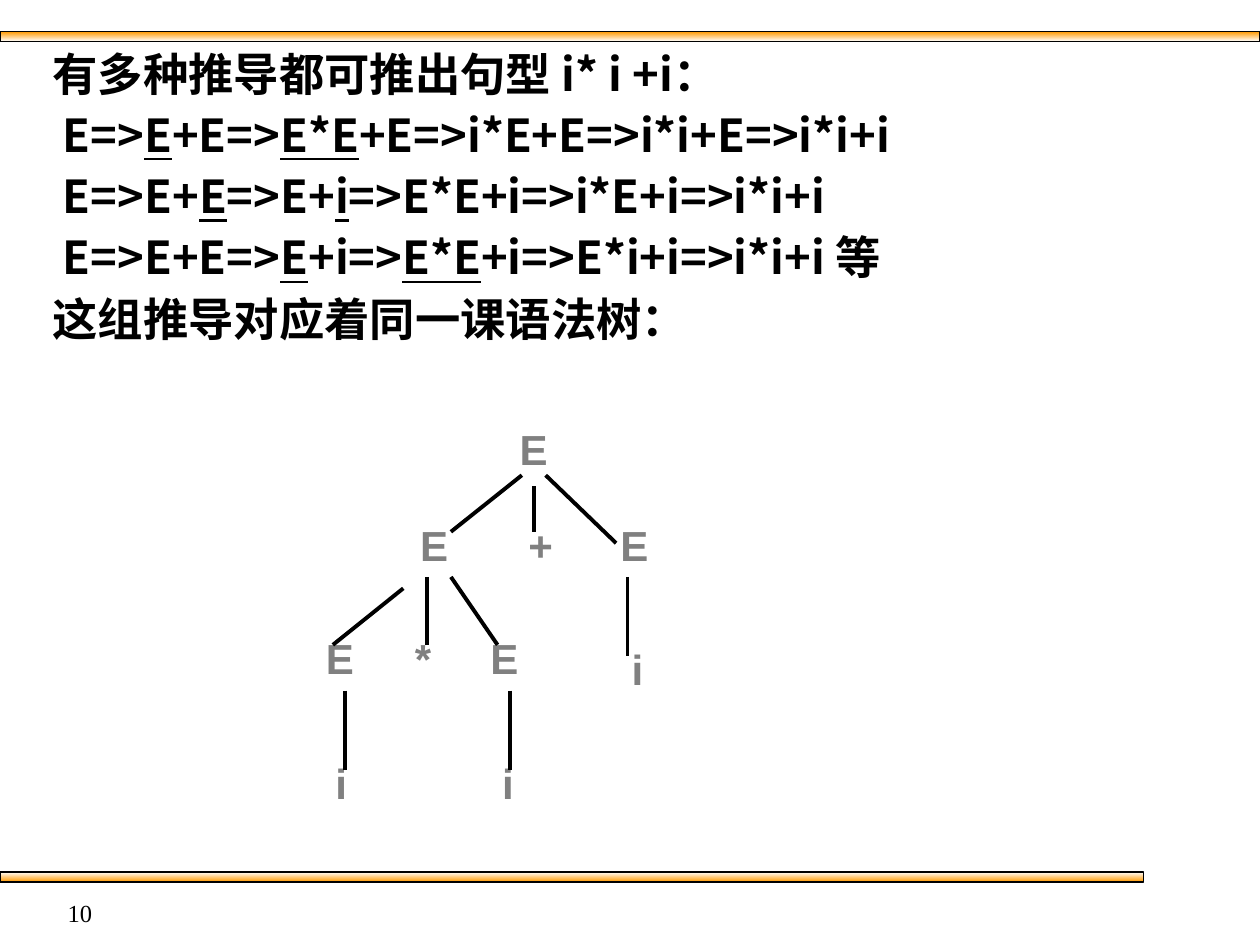
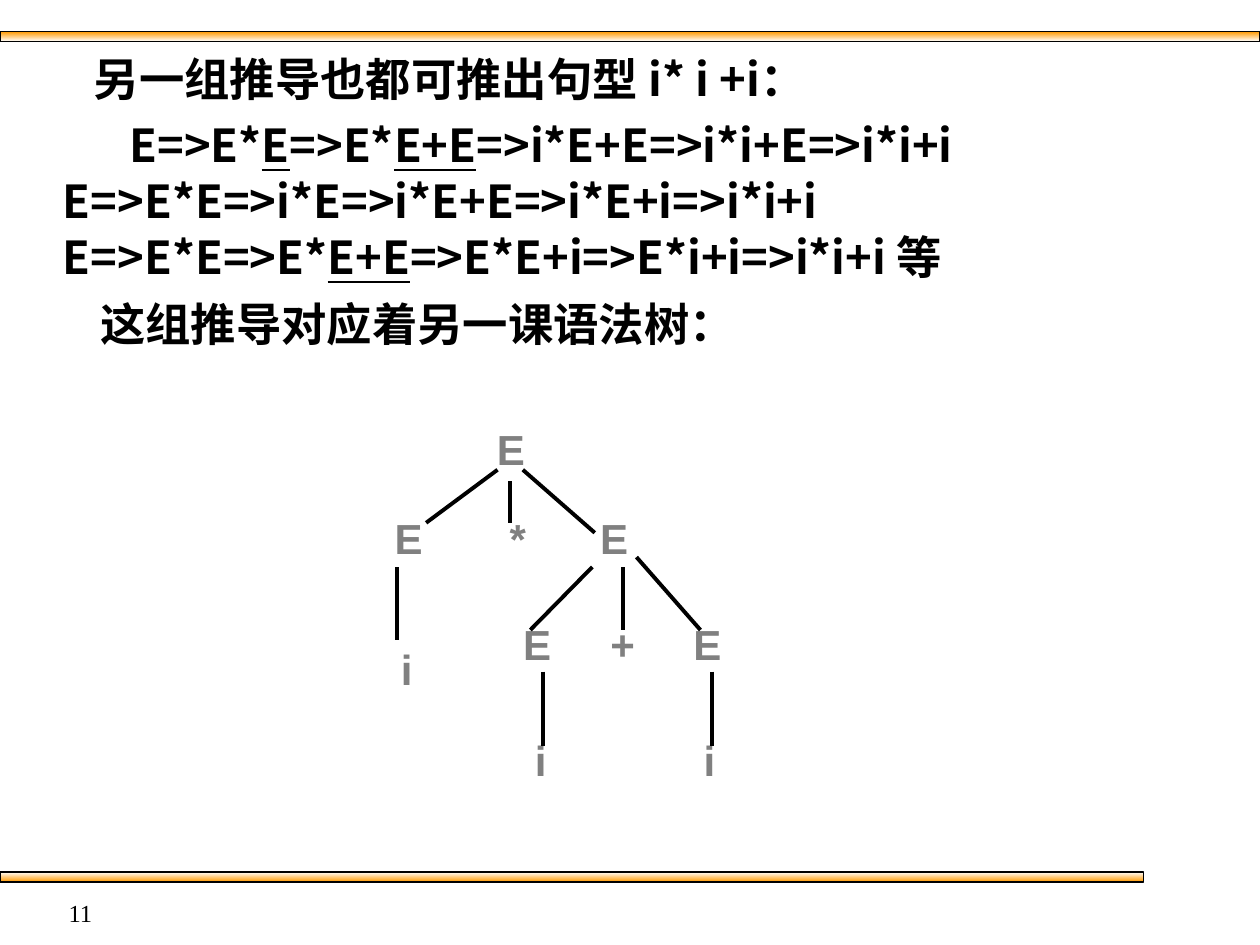
from typing import NamedTuple

from lxml.etree import SubElement
from pptx import Presentation
from pptx.dml.color import RGBColor
from pptx.enum.shapes import MSO_CONNECTOR, MSO_SHAPE
from pptx.enum.text import PP_ALIGN
from pptx.oxml.ns import qn
from pptx.slide import Slide
from pptx.text.text import TextFrame
from pptx.util import Cm, Pt

BLACK, GREY, ORANGE, WHITE = "000000", "808080", "FF9900", "FFFFFF"
BODY_FONT, TREE_FONT, NUMBER_FONT = "Noto Sans CJK SC", "Arial", "Times New Roman"
SYMBOL_WIDTH = {"E": 1.09, "+": 1.02, "*": 0.86, "i": 0.76}


class Band(NamedTuple):
    top: float
    width: float
    upper: str
    lower: str


class Line(NamedTuple):
    text: str
    indent: float
    height: float


class Row(NamedTuple):
    """Tree symbols that share a top edge, with the centre of each."""
    top: float
    symbols: str
    centres: tuple[float, ...]


class Edge(NamedTuple):
    x1: float
    y1: float
    x2: float
    y2: float


class Derivation(NamedTuple):
    number: int
    lines: list[Line]
    rows: list[Row]
    edges: list[Edge]


BANDS = [Band(0.64, 25.4, ORANGE, WHITE), Band(17.58, 23.06, WHITE, ORANGE)]

DERIVATIONS = [
    Derivation(
        10,
        [
            Line("有多种推导都可推出句型 i* i +i：", 0.81, 30),
            Line("E=>_E_+E=>_E*E_+E=>i*E+E=>i*i+E=>i*i+i", 1.02, 30),
            Line("E=>E+_E_=>E+_i_=>E*E+i=>i*E+i=>i*i+i", 1.02, 30),
            Line("E=>E+E=>_E_+i=>_E*E_+i=>E*i+i=>i*i+i 等", 1.02, 30),
            Line("这组推导对应着同一课语法树：", 0.81, 30),
        ],
        [
            Row(8.41, "E", (10.76,)),
            Row(10.34, "E+E", (8.75, 10.9, 12.79)),
            Row(12.62, "E*E", (6.85, 8.53, 10.17)),
            Row(12.85, "i", (12.85,)),
            Row(15.14, "ii", (6.88, 10.24)),
        ],
        [
            Edge(10.52, 9.58, 9.09, 10.72),
            Edge(10.77, 9.8, 10.77, 10.72),
            Edge(11, 9.58, 12.42, 10.95),
            Edge(8.13, 11.86, 6.71, 13),
            Edge(8.61, 11.63, 8.61, 13),
            Edge(9.09, 11.63, 10.03, 13),
            Edge(12.65, 11.63, 12.65, 13.23),
            Edge(6.96, 13.92, 6.96, 15.52),
            Edge(10.29, 13.92, 10.29, 15.52),
        ],
    ),
    Derivation(
        11,
        [
            Line("另一组推导也都可推出句型 i* i +i：", 1.64, 33),
            Line("E=>E*_E_=>E*_E+E_=>i*E+E=>i*i+E=>i*i+i", 2.36, 33),
            Line("E=>E*E=>i*E=>i*E+E=>i*E+i=>i*i+i", 1.02, 27),
            Line("E=>E*E=>E*_E+E_=>E*E+i=>E*i+i=>i*i+i 等", 1.02, 27),
            Line("这组推导对应着另一课语法树：", 1.77, 33),
        ],
        [
            Row(8.41, "E", (10.3,)),
            Row(10.21, "E*E", (8.24, 10.44, 12.38)),
            Row(12.34, "E+E", (10.83, 12.55, 14.26)),
            Row(12.85, "i", (8.2,)),
            Row(14.68, "ii", (10.9, 14.3)),
        ],
        [
            Edge(10.03, 9.47, 8.59, 10.54),
            Edge(10.29, 9.7, 10.29, 10.54),
            Edge(10.54, 9.47, 11.99, 10.74),
            Edge(8, 11.43, 8, 12.9),
            Edge(11.94, 11.43, 10.69, 12.7),
            Edge(12.55, 11.43, 12.55, 12.7),
            Edge(12.83, 11.23, 14.12, 12.7),
            Edge(10.95, 13.54, 10.95, 15.04),
            Edge(14.35, 13.54, 14.35, 15.04),
        ],
    ),
]


def rgb(value: str) -> RGBColor:
    return RGBColor.from_string(value)


def add_frame(slide: Slide, left: float, top: float, width: float, height: float,
              wrap: bool = True) -> TextFrame:
    frame = slide.shapes.add_textbox(Cm(left), Cm(top), Cm(width), Cm(height)).text_frame
    frame.word_wrap = wrap
    return frame


def write(frame: TextFrame, text: str, *, font: str, size: float, color: str = BLACK,
          bold: bool = False, align: PP_ALIGN = PP_ALIGN.LEFT, indent: float = 0,
          line_height: float | None = None, space_before: float = 0) -> None:
    """Fill the empty first paragraph or append one; _marks_ underline."""
    first = not frame.text
    paragraph = frame.paragraphs[0] if first else frame.add_paragraph()
    paragraph.alignment = align
    paragraph.space_before = Pt(0 if first else space_before)
    if line_height:
        paragraph.line_spacing = Pt(line_height)
    if indent:
        paragraph._p.get_or_add_pPr().set("marL", str(Cm(indent)))
    for index, part in enumerate(text.split("_")):
        run = paragraph.add_run()
        run.text = part
        run.font.name, run.font.size, run.font.bold = font, Pt(size), bold
        run.font.color.rgb = rgb(color)
        run.font.underline = index % 2 == 1
        SubElement(run._r.get_or_add_rPr(), qn("a:ea"), typeface=font)


def add_band(slide: Slide, band: Band) -> None:
    bar = slide.shapes.add_shape(MSO_SHAPE.RECTANGLE, 0, Cm(band.top), Cm(band.width), Cm(0.2))
    bar.shadow.inherit = False
    bar.fill.gradient()
    bar.fill.gradient_angle = 270
    for stop, position, color in zip(bar.fill.gradient_stops, (0, 1), (band.upper, band.lower)):
        stop.position = position
        stop.color.rgb = rgb(color)
    bar.line.color.rgb = rgb(BLACK)
    bar.line.width = Pt(0.75)


def add_row(slide: Slide, row: Row) -> None:
    for symbol, centre in zip(row.symbols, row.centres):
        width = SYMBOL_WIDTH[symbol]
        frame = add_frame(slide, centre - width / 2, row.top, width, 1.27, wrap=False)
        write(frame, symbol, font=TREE_FONT, size=24, color=GREY, bold=True,
              align=PP_ALIGN.CENTER)


def add_edge(slide: Slide, edge: Edge) -> None:
    branch = slide.shapes.add_connector(MSO_CONNECTOR.STRAIGHT, *map(Cm, edge))
    branch.line.color.rgb = rgb(BLACK)
    branch.line.width = Pt(2.25)
    SubElement(branch._element.spPr, qn("a:effectLst"))


def add_derivation(slide: Slide, derivation: Derivation) -> None:
    for band in BANDS:
        add_band(slide, band)
    body = add_frame(slide, 0, 0.84, 24.56, 6.8)
    for line in derivation.lines:
        write(body, line.text, font=BODY_FONT, size=25.9, bold=True, indent=line.indent,
              line_height=line.height, space_before=5)
    for row in derivation.rows:
        add_row(slide, row)
    for edge in derivation.edges:
        add_edge(slide, edge)
    write(add_frame(slide, 0, 17.98, 2.11, 0.64), str(derivation.number),
          font=NUMBER_FONT, size=14, align=PP_ALIGN.RIGHT)


def main() -> None:
    deck = Presentation()
    deck.slide_width, deck.slide_height = Cm(25.4), Cm(19.05)
    for derivation in DERIVATIONS:
        add_derivation(deck.slides.add_slide(deck.slide_layouts[6]), derivation)
    deck.save("out.pptx")


if __name__ == "__main__":
    main()
